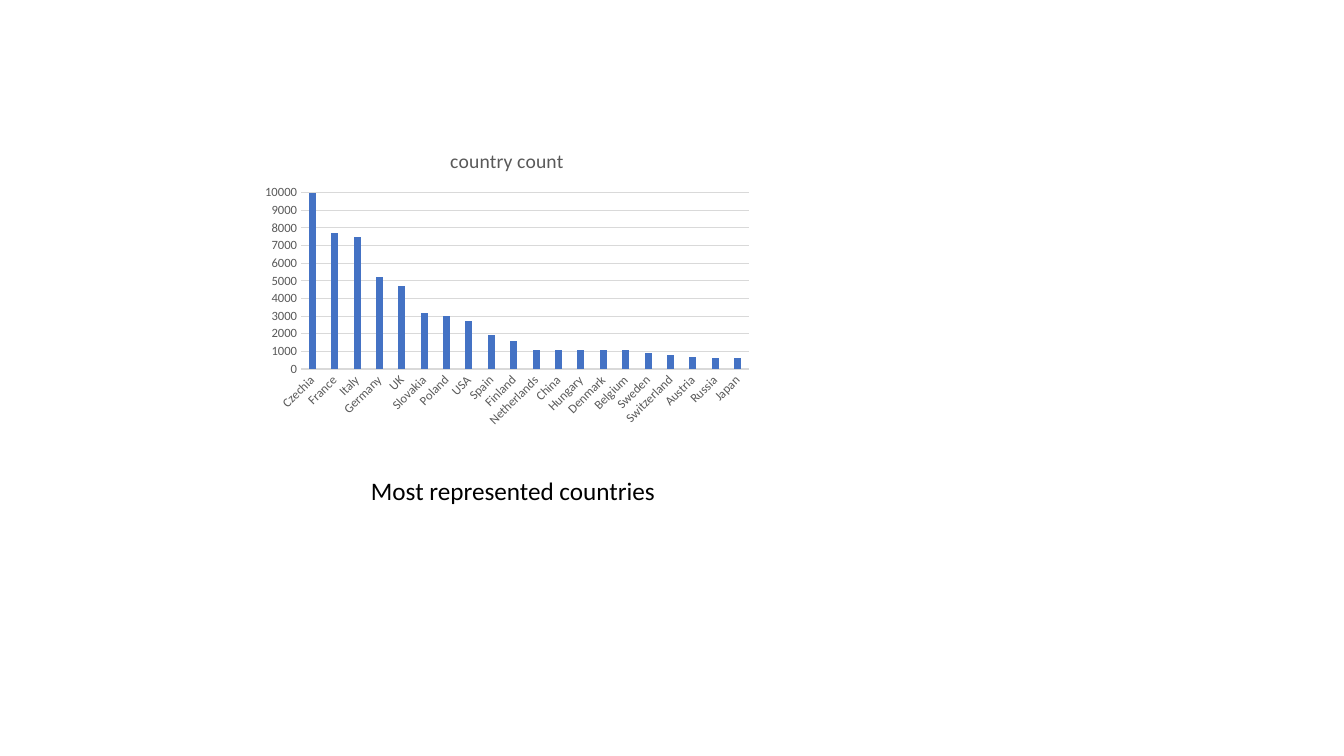
"""Build a slide with a column chart of the most represented countries."""
from pptx import Presentation
from pptx.chart.data import CategoryChartData
from pptx.dml.color import RGBColor
from pptx.enum.chart import XL_CHART_TYPE as ChartType, XL_TICK_MARK as TickMark
from pptx.enum.text import MSO_AUTO_SIZE as AutoSize
from pptx.util import Emu, Pt

SCALE = 914400 / 100.8
FONT = "Calibri"
COLORS = {"text": "000000", "label": "595959", "grid": "D9D9D9", "column": "4472C4"}
COUNTS = {
    "Czechia": 10000, "France": 7700, "Italy": 7500, "Germany": 5200, "UK": 4700,
    "Slovakia": 3200, "Poland": 3000, "USA": 2700, "Spain": 1900, "Finland": 1600,
    "Netherlands": 1100, "China": 1100, "Hungary": 1100, "Denmark": 1100,
    "Belgium": 1100, "Sweden": 900, "Switzerland": 800, "Austria": 700,
    "Russia": 600, "Japan": 600,
}


def px(*lengths):
    return [Emu(round(length * SCALE)) for length in lengths]


def style_font(font, size, color):
    font.name = FONT
    font.size = Pt(size)
    font.bold = False
    font.color.rgb = RGBColor.from_string(COLORS[color])


deck = Presentation()
deck.slide_width, deck.slide_height = px(1344, 756)
page = deck.slides.add_slide(deck.slide_layouts[6])

data = CategoryChartData()
data.categories = list(COUNTS)
data.add_series("country count", list(COUNTS.values()))
chart = page.shapes.add_chart(
    ChartType.COLUMN_CLUSTERED, *px(255, 132, 504, 302), data
).chart
style_font(chart.font, 10, "text")
chart.has_legend = False
chart.has_title = True
heading = chart.chart_title.text_frame
heading.text = "country count"
style_font(heading.paragraphs[0].runs[0].font, 14, "label")
chart.chart_title.include_in_layout = False

plot = chart.plots[0]
plot.gap_width = 219
plot.overlap = -27
plot.vary_by_categories = False
columns = plot.series[0]
columns.invert_if_negative = False
columns.format.fill.solid()
columns.format.fill.fore_color.rgb = RGBColor.from_string(COLORS["column"])

country_axis, count_axis = chart.category_axis, chart.value_axis
for axis in (country_axis, count_axis):
    axis.major_tick_mark = TickMark.NONE
    axis.minor_tick_mark = TickMark.NONE
    style_font(axis.tick_labels.font, 9, "label")
country_axis._element.txPr.bodyPr.set("rot", "-2700000")

count_axis.minimum_scale = 0
count_axis.maximum_scale = 10000
count_axis.major_unit = 1000
count_axis.has_major_gridlines = True
count_axis.format.line.fill.background()
for line in (country_axis.format.line, count_axis.major_gridlines.format.line):
    line.color.rgb = RGBColor.from_string(COLORS["grid"])
    line.width = Pt(0.75)

caption = page.shapes.add_textbox(*px(361, 470, 594, 40)).text_frame
caption.word_wrap = True
caption.auto_size = AutoSize.SHAPE_TO_FIT_TEXT
caption.text = "Most represented countries"
style_font(caption.paragraphs[0].runs[0].font, 18, "text")

deck.save("out.pptx")
